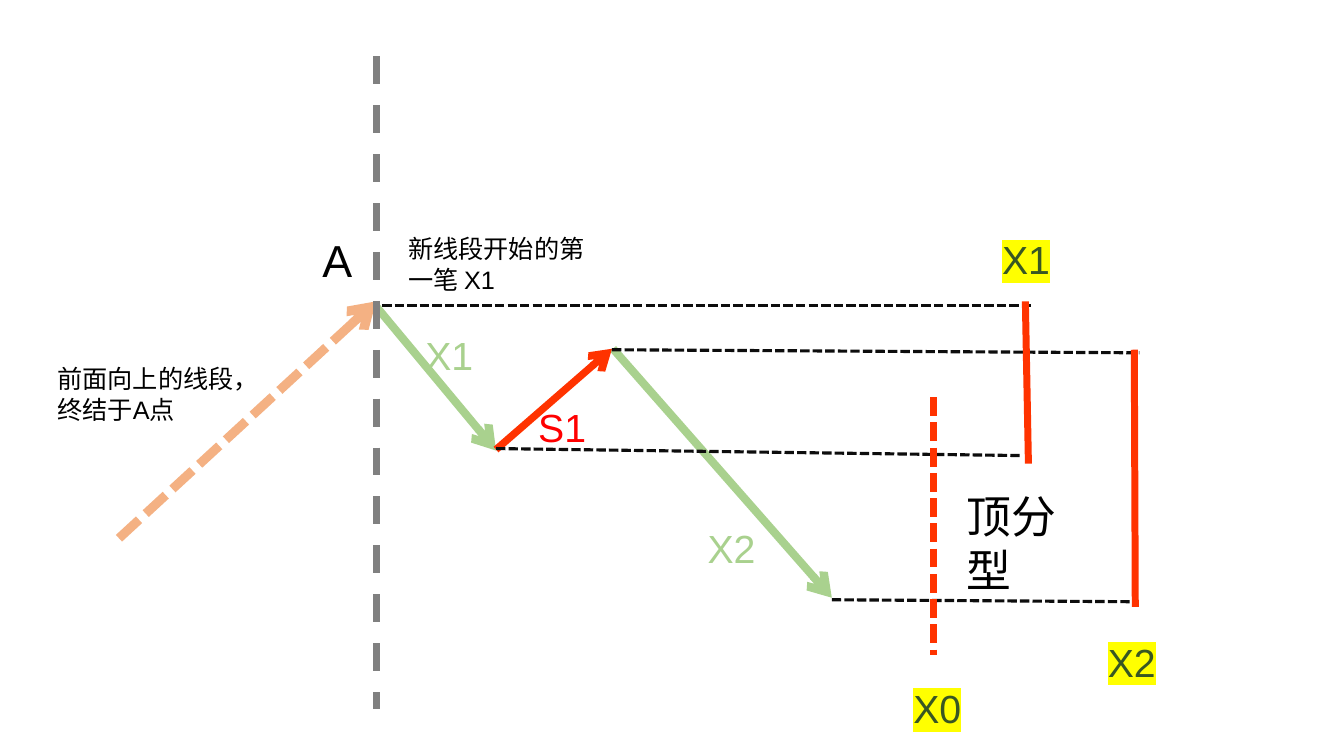
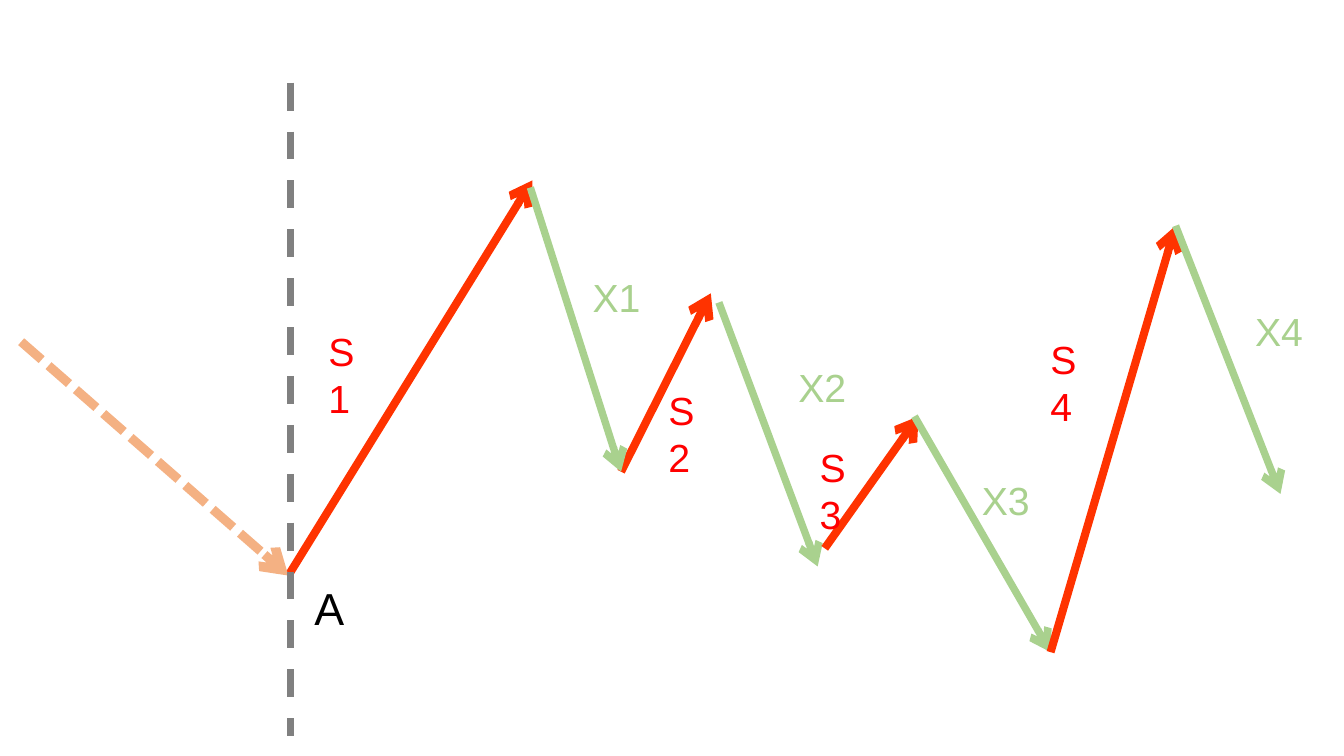
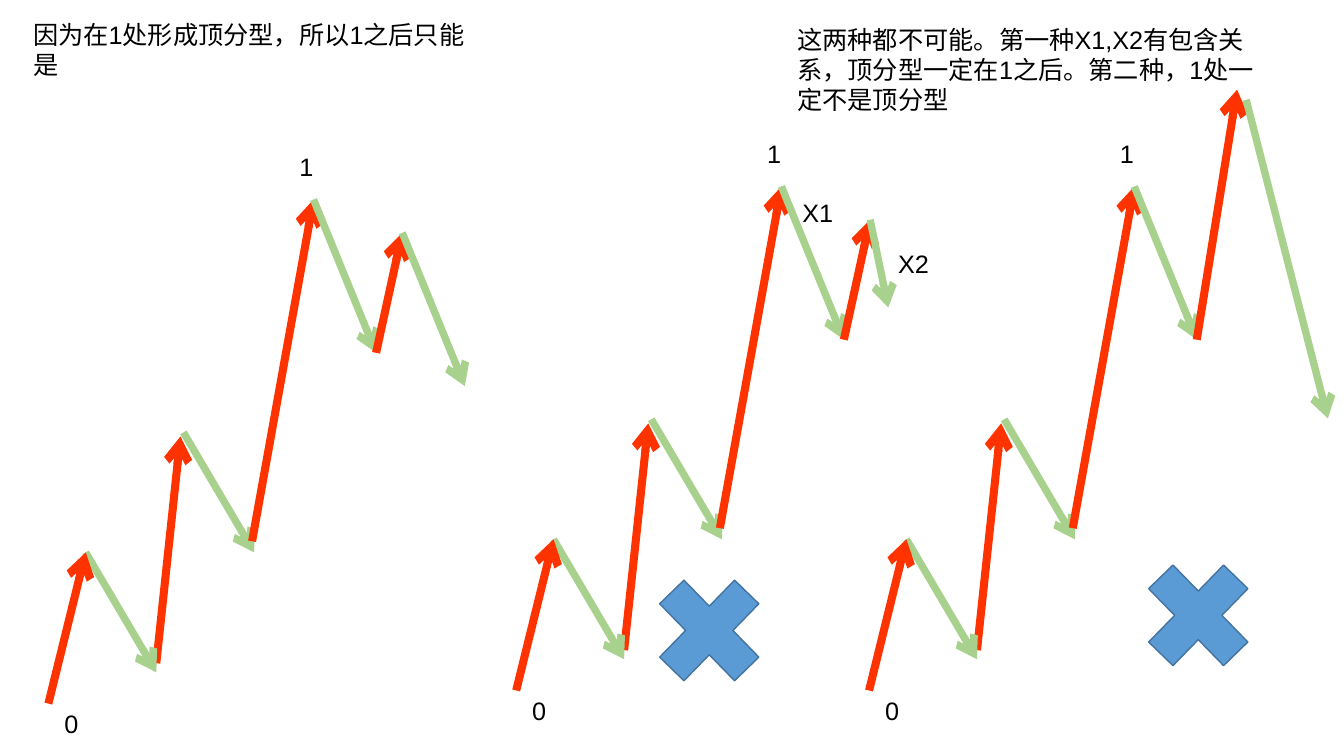
from lxml.etree import SubElement
from pptx import Presentation
from pptx.dml.color import RGBColor
from pptx.enum.dml import MSO_LINE
from pptx.enum.shapes import MSO_CONNECTOR, MSO_SHAPE
from pptx.enum.text import MSO_AUTO_SIZE
from pptx.oxml.ns import qn
from pptx.util import Inches, Pt

COLUMN = ROW = Inches(1)
COLUMNS, ROWS = 13.33, 7.5
FONT = "Arial"
BODY, LABEL, HEADING = 18, 28, 32

BLACK = RGBColor(0x00, 0x00, 0x00)
LEVEL_BLACK = RGBColor(0x0D, 0x0D, 0x0D)
GREY = RGBColor(0x80, 0x80, 0x80)
ORANGE = RGBColor(0xF4, 0xB1, 0x83)
UP_RED = RGBColor(0xFF, 0x33, 0x00)
LABEL_RED = RGBColor(0xFF, 0x00, 0x00)
DOWN_GREEN = RGBColor(0xA9, 0xD1, 0x8E)
DARK_GREEN = RGBColor(0x38, 0x57, 0x23)
YELLOW = RGBColor(0xFF, 0xFF, 0x00)
CROSS_BLUE = RGBColor(0x5B, 0x9B, 0xD5)
CROSS_EDGE = RGBColor(0x43, 0x73, 0x9E)

WAVE = (
    (UP_RED, (1.55, 6.58), (1.79, 4.33)),
    (DOWN_GREEN, (0.85, 5.48), (1.55, 6.67)),
    (UP_RED, (0.48, 6.98), (0.85, 5.48)),
    (DOWN_GREEN, (1.82, 4.29), (2.52, 5.48)),
    (UP_RED, (2.5, 5.37), (3.11, 1.98)),
    (DOWN_GREEN, (3.11, 1.98), (3.73, 3.5)),
)
WAVE_END = (3.73, 3.5)


def grid(column, row):
    """Turn a grid position into slide lengths."""
    return int(column * COLUMN), int(row * ROW)


def shift(point, offset):
    """Move a grid point by an offset."""
    return point[0] + offset[0], point[1] + offset[1]


def add_line(slide, start, end, color, width, dash=None, arrow=False):
    """Draw a straight line between two grid points."""
    connector = slide.shapes.add_connector(
        MSO_CONNECTOR.STRAIGHT, *grid(*start), *grid(*end))
    line = connector.line
    line.color.rgb = color
    line.width = Pt(width)
    if dash is not None:
        line.dash_style = dash
    if arrow:
        SubElement(line._get_or_add_ln(), qn("a:tailEnd"), type="arrow")
    SubElement(connector._element.spPr, qn("a:effectLst"))


def add_stroke(slide, color, start, end, width=None):
    """Draw a rising or falling stroke with an arrowhead."""
    if width is None:
        width = 5.75 if color == UP_RED else 5.25
    add_line(slide, start, end, color, width, arrow=True)


def add_text(slide, text, position, extent, size=BODY, color=BLACK,
             wrap=True, highlight=None):
    """Place one paragraph of text on the grid."""
    shape = slide.shapes.add_textbox(*grid(*position), *grid(*extent))
    frame = shape.text_frame
    frame.text = text
    frame.word_wrap = wrap
    frame.auto_size = MSO_AUTO_SIZE.SHAPE_TO_FIT_TEXT
    font = frame.paragraphs[0].runs[0].font
    font.size = Pt(size)
    font.color.rgb = color
    if highlight is not None:
        mark = SubElement(font._element, qn("a:highlight"))
        SubElement(mark, qn("a:srgbClr"), val=str(highlight))
    font.name = FONT


def add_turning_point(slide, start, end, divider, top, bottom, label, extent):
    """Draw the finished segment, the divider and the letter A."""
    add_line(slide, start, end, ORANGE, 6.5, MSO_LINE.SQUARE_DOT, arrow=True)
    add_line(slide, (divider, top), (divider, bottom), GREY, 5, MSO_LINE.DASH)
    add_text(slide, "A", label, extent, HEADING)


def add_cross(slide, position):
    """Draw a cross that rejects a wave."""
    shape = slide.shapes.add_shape(
        MSO_SHAPE.MATH_MULTIPLY, *grid(*position), *grid(1.43, 1.47))
    shape.shadow.inherit = False
    shape.fill.solid()
    shape.fill.fore_color.rgb = CROSS_BLUE
    shape.line.color.rgb = CROSS_EDGE
    shape.line.width = Pt(1)


def add_wave(slide, offset, last_strokes):
    """Draw the shared wave at an offset, then its own last strokes."""
    for color, start, end in WAVE:
        add_stroke(slide, color, shift(start, offset), shift(end, offset))
    for text, position in (("1", (2.87, 1.45)), ("0", (0.54, 6.98))):
        add_text(slide, text, shift(position, offset), (0.33, 0.4), wrap=False)
    for color, start, end in last_strokes:
        add_stroke(slide, color, start, end)


def build_top_fractal(slide):
    """Show how the strokes after A form a top fractal."""
    add_stroke(slide, DOWN_GREEN, (3.73, 3.04), (4.92, 4.47), 5.75)
    add_turning_point(slide, (1.18, 5.34), (3.73, 2.99), 3.73, 0.56, 7.03,
                      (3.1, 2.26), (1.26, 0.64))
    add_text(slide, "前面向上的线段，终结于A点", (0.47, 3.56), (2.39, 0.71))
    add_text(slide, "新线段开始的第一笔 X1", (3.95, 2.27), (2, 0.71))
    add_stroke(slide, DOWN_GREEN, (6.08, 3.46), (8.25, 5.93), 5.75)
    add_stroke(slide, UP_RED, (4.92, 4.46), (6.07, 3.46), 5.25)
    for text, position, width, color in (
            ("X1", (4.12, 3.24), 0.95, DOWN_GREEN),
            ("X2", (6.92, 5.15), 0.86, DOWN_GREEN),
            ("S1", (5.24, 3.95), 0.84, LABEL_RED)):
        add_text(slide, text, position, (width, 0.57), LABEL, color)
    for start, end in (
            ((4.92, 4.45), (10.14, 4.52)),
            ((3.79, 3.03), (10.23, 3.03)),
            ((8.25, 5.95), (11.26, 5.97)),
            ((6.07, 3.47), (11.3, 3.5))):
        add_line(slide, start, end, LEVEL_BLACK, 2.25, MSO_LINE.SQUARE_DOT)
    add_line(slide, (10.17, 2.99), (10.2, 4.6), UP_RED, 5)
    add_line(slide, (11.25, 3.47), (11.26, 6.02), UP_RED, 5)
    add_line(slide, (9.26, 3.94), (9.26, 6.5), UP_RED, 4.5,
             MSO_LINE.SQUARE_DOT)
    for text, position, width, wrap in (
            ("X1", (9.84, 2.29), 1.04, True),
            ("X0", (8.96, 6.74), 0.68, False),
            ("X2", (10.89, 6.28), 1.46, True)):
        add_text(slide, text, position, (width, 0.57), LABEL, DARK_GREEN,
                 wrap, YELLOW)
    add_text(slide, "顶分型", (9.49, 4.8), (1.53, 0.64), HEADING, wrap=False)


def build_stroke_sequence(slide):
    """Show the alternating strokes that follow A."""
    for text, start, end, position in (
            ("S1", (2.86, 5.71), (5.28, 1.79), (3.16, 3.2)),
            ("S2", (6.16, 4.68), (7.05, 2.91), (6.53, 3.78)),
            ("X1", (5.26, 1.86), (6.16, 4.68), (5.78, 2.66)),
            ("X2", (7.13, 3), (8.11, 5.62), (7.82, 3.56)),
            ("S3", (8.18, 5.44), (9.11, 4.13), (8.03, 4.35)),
            ("X3", (9.07, 4.13), (10.42, 6.47), (9.64, 4.68)),
            ("S4", (10.42, 6.47), (11.66, 2.24), (10.32, 3.28)),
            ("X4", (11.66, 2.24), (12.7, 4.9), (12.35, 3))):
        rising = text.startswith("S")
        add_stroke(slide, UP_RED if rising else DOWN_GREEN, start, end)
        add_text(slide, text, position, (0.63 if rising else 0.84, 0.57),
                 LABEL, LABEL_RED if rising else DOWN_GREEN)
    add_turning_point(slide, (0.21, 3.39), (2.86, 5.71), 2.88, 0.82, 7.3,
                      (3.02, 5.71), (0.52, 0.64))


def build_wave_comparison(slide):
    """Compare the possible wave with two impossible ones."""
    add_text(slide, "因为在1处形成顶分型，所以1之后只能是",
             (0.23, 0.14), (4.6, 0.71))
    for offset, peak, fall_start, fall_end in (
            ((0, 0), (3.99, 2.31), (3.99, 2.31), (4.61, 3.83)),
            ((4.64, -0.13), (8.63, 2.18), (8.63, 2.18), (8.81, 3.05)),
            ((8.14, -0.13), (12.27, 0.89), (12.36, 0.99), (13.17, 4.15))):
        add_wave(slide, offset, (
            (UP_RED, shift(WAVE_END, offset), peak),
            (DOWN_GREEN, fall_start, fall_end)))
    add_text(slide, "这两种都不可能。第一种X1,X2有包含关系，顶分型一定在1之后。"
             "第二种，1处一定不是顶分型", (7.81, 0.19), (4.78, 1.01))
    for position in ((6.32, 5.52), (11.17, 5.37)):
        add_cross(slide, position)
    for text, position in (("X1", (7.86, 1.91)), ("X2", (8.81, 2.41))):
        add_text(slide, text, position, (0.51, 0.4), wrap=False)


def main():
    """Build and save the presentation."""
    presentation = Presentation()
    presentation.slide_width, presentation.slide_height = grid(COLUMNS, ROWS)
    blank = presentation.slide_layouts[6]
    for build in (build_top_fractal, build_stroke_sequence,
                  build_wave_comparison):
        build(presentation.slides.add_slide(blank))
    presentation.save("out.pptx")


if __name__ == "__main__":
    main()
